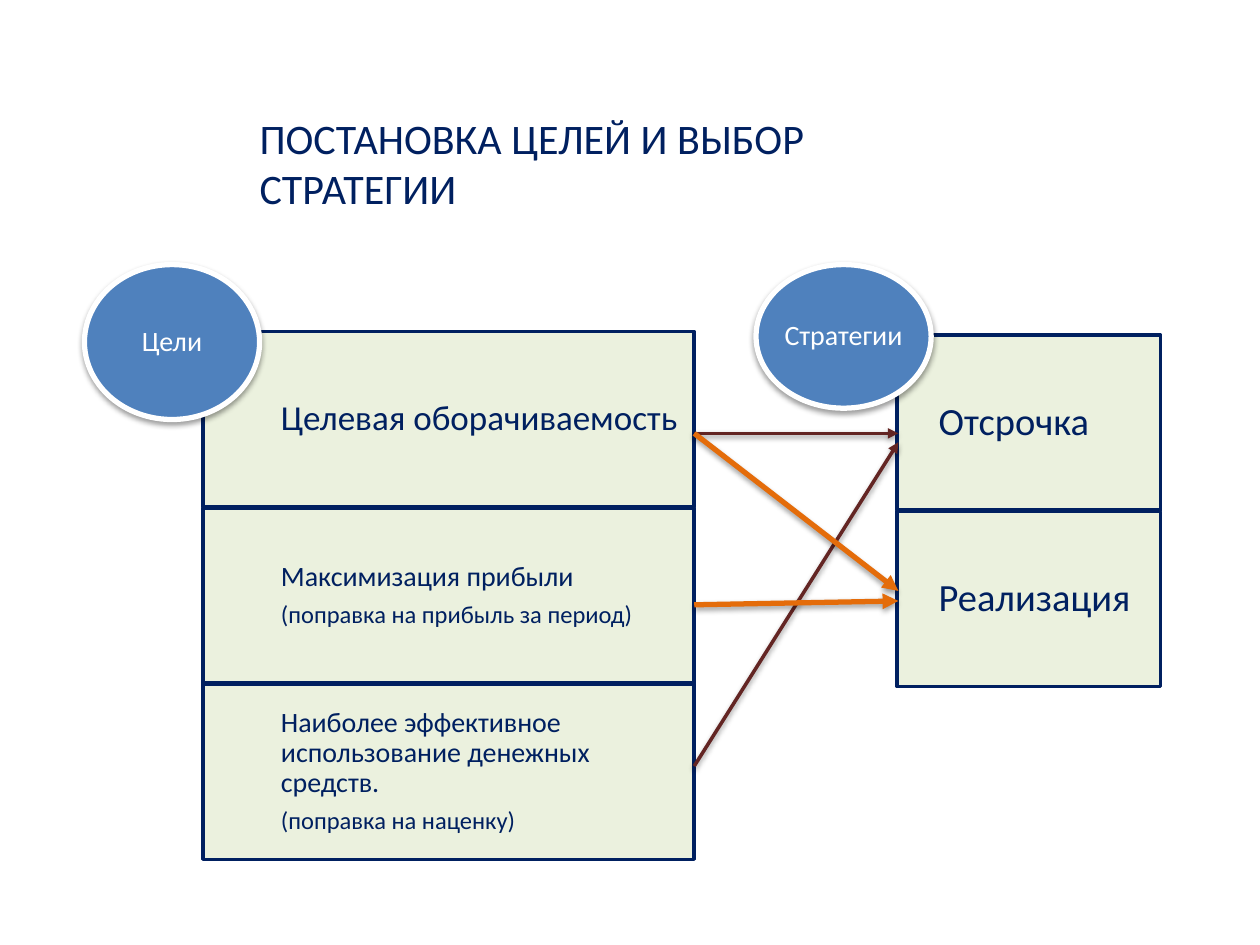
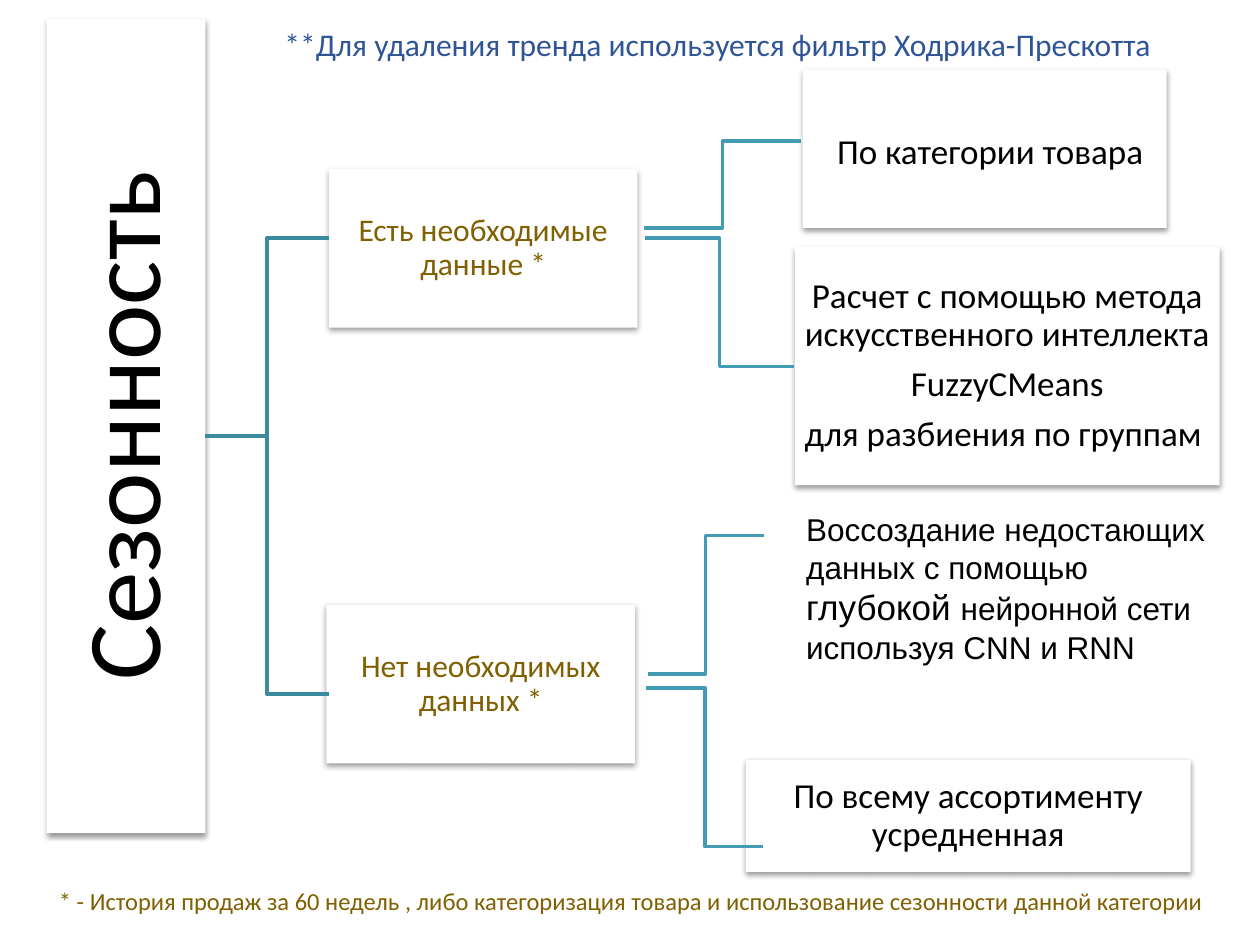
from lxml import etree
from pptx import Presentation
from pptx.dml.color import RGBColor
from pptx.enum import shapes, text
from pptx.oxml import ns
from pptx.util import Inches, Pt

COLORS = {
    "navy": "002060", "cream": "EBF1DE", "blue": "4F81BD", "white": "FFFFFF",
    "black": "000000", "maroon": "632523", "orange": "E46C0A", "gold": "806000",
    "note": "2F5597", "trunk": "3C8A9F", "branch": "449CB4",
}
FONT = "Calibri"
TITLE_ONLY = 5
LEFT, CENTER = text.PP_ALIGN.LEFT, text.PP_ALIGN.CENTER
TOP, MIDDLE = text.MSO_ANCHOR.TOP, text.MSO_ANCHOR.MIDDLE
RECT, OVAL = shapes.MSO_SHAPE.RECTANGLE, shapes.MSO_SHAPE.OVAL
STRAIGHT, ELBOW = shapes.MSO_CONNECTOR.STRAIGHT, shapes.MSO_CONNECTOR.ELBOW


def rgb(name):
    return RGBColor.from_string(COLORS[name])


def add_xml(parent, tag, **attrs):
    return etree.SubElement(parent, ns.qn(tag), attrs)


def set_shadow(sp, on=True):
    """Give the shape a soft shadow below it, or none at all."""
    effects = add_xml(sp._element.spPr, "a:effectLst")
    if on:
        shadow = add_xml(effects, "a:outerShdw", blurRad="40000", dist="20000",
                         dir="5400000", rotWithShape="0")
        color = add_xml(shadow, "a:srgbClr", val=COLORS["black"])
        add_xml(color, "a:alpha", val="38000")


def set_style(sp, fill, line=None, width=2, shadow=False):
    sp.fill.solid()
    sp.fill.fore_color.rgb = rgb(fill)
    if line:
        sp.line.color.rgb = rgb(line)
        sp.line.width = Pt(width)
    else:
        sp.line.fill.background()
    set_shadow(sp, shadow)


def write(sp, paragraphs, color, align=LEFT, anchor=MIDDLE, margins=(0.1, 0.05, 0.1, 0.05),
          font=FONT, tight=True):
    """Each paragraph is a list of (text, size) runs; tight text has 90% line spacing."""
    tf = sp.text_frame
    tf.word_wrap = True
    tf.auto_size = text.MSO_AUTO_SIZE.NONE
    tf.vertical_anchor = anchor
    tf.margin_left, tf.margin_top, tf.margin_right, tf.margin_bottom = map(Inches, margins)
    for i, runs in enumerate(paragraphs):
        p = tf.add_paragraph() if i else tf.paragraphs[0]
        p.alignment = align
        if tight:
            p.line_spacing = 0.9
            p.space_after = Pt(round(0.35 * runs[0][1], 1))
        for words, size in runs:
            r = p.add_run()
            r.text = words
            r.font.name, r.font.size = font, Pt(size)
            r.font.color.rgb = rgb(color)


def place(sp, x, y, w, h):
    sp.left, sp.top, sp.width, sp.height = map(Inches, (x, y, w, h))


def add_box(s, kind, x, y, w, h):
    return s.shapes.add_shape(kind, *map(Inches, (x, y, w, h)))


def add_label(s, x, y, w, h, paragraphs, color, **options):
    sp = s.shapes.add_textbox(*map(Inches, (x, y, w, h)))
    write(sp, paragraphs, color, tight=False, **options)


def add_line(s, kind, start, end, color, width=2, arrow=False):
    c = s.shapes.add_connector(kind, *map(Inches, (*start, *end)))
    c.line.color.rgb = rgb(color)
    c.line.width = Pt(width)
    if arrow:
        add_xml(c.line._get_or_add_ln(), "a:tailEnd", type="triangle")
    set_shadow(c, arrow)


# Slide 1: goals and strategies

def add_stack(s, x, y, w, items, indent, inset):
    """Column of equal cells, one per item."""
    for i, paragraphs in enumerate(items):
        sp = add_box(s, RECT, x, y + 1.4 * i, w, 1.39)
        set_style(sp, "cream", "navy")
        write(sp, paragraphs, "navy", margins=(indent, inset, inset, inset))


def add_badge(s, x, y, h, caption):
    sp = add_box(s, OVAL, x, y, 1.39, h)
    set_style(sp, "blue", "white", 3, shadow=True)
    write(sp, [[(caption, 16)]], "white", CENTER, margins=(0, 0, 0, 0))


def add_links(s, x, w):
    """Arrows from goals on the left to strategies on the right."""
    for y1, y2, color, width in [(3.44, 3.44, "maroon", 2), (6.08, 3.51, "maroon", 2),
                                 (3.44, 4.69, "orange", 3), (4.8, 4.77, "orange", 3)]:
        add_line(s, STRAIGHT, (x, y1), (x + w, y2), color, width, arrow=True)


def goals_slide(prs):
    s = prs.slides.add_slide(prs.slide_layouts[TITLE_ONLY])
    title = s.shapes.title
    place(title, 1.96, 0.84, 5.9, 0.9)
    write(title, [[("ПОСТАНОВКА ЦЕЛЕЙ И ВЫБОР СТРАТЕГИИ", 24)]], "navy", anchor=TOP, tight=False)

    goals = [
        [[("Целевая оборачиваемость", 20)]],
        [[("Максимизация прибыли", 16)], [("(поправка на прибыль за период)", 14)]],
        [[("Наиболее эффективное использование денежных средств.", 16)],
         [("(поправка на наценку)", 14)]],
    ]
    strategies = [[[("Отсрочка", 22)]], [[("Реализация", 22)]]]
    add_stack(s, 1.61, 2.63, 3.9, goals, 0.62, 0.12)
    add_badge(s, 0.67, 2.1, 1.23, "Цели")
    add_stack(s, 7.12, 2.66, 2.09, strategies, 0.33, 0.17)
    add_badge(s, 6, 2.1, 1.14, "Стратегии")
    add_links(s, 5.51, 1.62)


# Slide 2: seasonality tree

def add_card(s, x, y, w, h, paragraphs, color="black"):
    sp = add_box(s, RECT, x, y, w, h)
    set_style(sp, "white", shadow=True)
    write(sp, paragraphs, color, CENTER, margins=(0.01,) * 4)


def add_root(s, x, y, w, h):
    """Title turned to read upwards inside the given upright box."""
    title = s.shapes.title
    place(title, x + (w - h) / 2, y + (h - w) / 2, h, w)
    title.rotation = 270
    set_style(title, "white", shadow=True)
    write(title, [[("Сезонность", 60)]], "black", CENTER, margins=(0.04,) * 4)


def add_brackets(s):
    for start, end, color in [
        ((1.63, 3.46), (2.61, 1.89), "trunk"),
        ((1.63, 3.46), (2.61, 5.51), "trunk"),
        ((5.11, 1.81), (6.36, 1.12), "branch"),
        ((5.12, 1.89), (6.3, 2.91), "branch"),
        ((5.14, 5.35), (6.06, 4.25), "branch"),
        ((5.13, 5.46), (6.06, 6.72), "branch"),
    ]:
        add_line(s, ELBOW, start, end, color)


def add_methods(s):
    """Right-hand outcomes of both branches."""
    add_card(s, 6.37, 0.55, 2.89, 1.26, [[(" ", 28), ("По категории товара", 20)]])
    add_card(s, 6.31, 1.96, 3.37, 1.89, [
        [("Расчет с помощью метода искусственного интеллекта", 20)],
        [("FuzzyCMeans", 20)],
        [("для разбиения по группам ", 20)],
    ])
    add_label(s, 6.3, 4, 3.46, 1.33, [
        [("Воссоздание недостающих", 18)],
        [("данных с помощью ", 18), ("глубокой ", 20),
         ("нейронной сети используя CNN и RNN", 18)],
    ], "black", font="Arial")
    add_card(s, 5.92, 6.03, 3.53, 0.89, [[("По всему ассортименту усредненная", 20)]])


def seasonality_slide(prs):
    s = prs.slides.add_slide(prs.slide_layouts[TITLE_ONLY])
    add_root(s, 0.37, 0.15, 1.26, 6.46)
    # Data availability
    for x, y, caption in [(2.61, 1.34, "Есть необходимые данные *"),
                          (2.59, 4.8, "Нет необходимых данных *")]:
        add_card(s, x, y, 2.45, 1.26, [[(caption, 18)]], "gold")
    add_methods(s)
    add_brackets(s)
    # Notes
    add_label(s, 0.37, 6.98, 9.36, 0.33, [[(
        "* - История продаж за 60 недель , либо категоризация товара "
        "и использование сезонности данной категории", 14)]], "gold", anchor=TOP)
    add_label(s, 2.16, 0.15, 7.64, 0.4, [[(
        "**Для удаления тренда используется фильтр Ходрика-Прескотта", 18)]],
        "note", anchor=TOP)


def main():
    prs = Presentation()
    prs.slide_width, prs.slide_height = Inches(10), Inches(7.5)
    goals_slide(prs)
    seasonality_slide(prs)
    prs.save("out.pptx")


if __name__ == "__main__":
    main()
